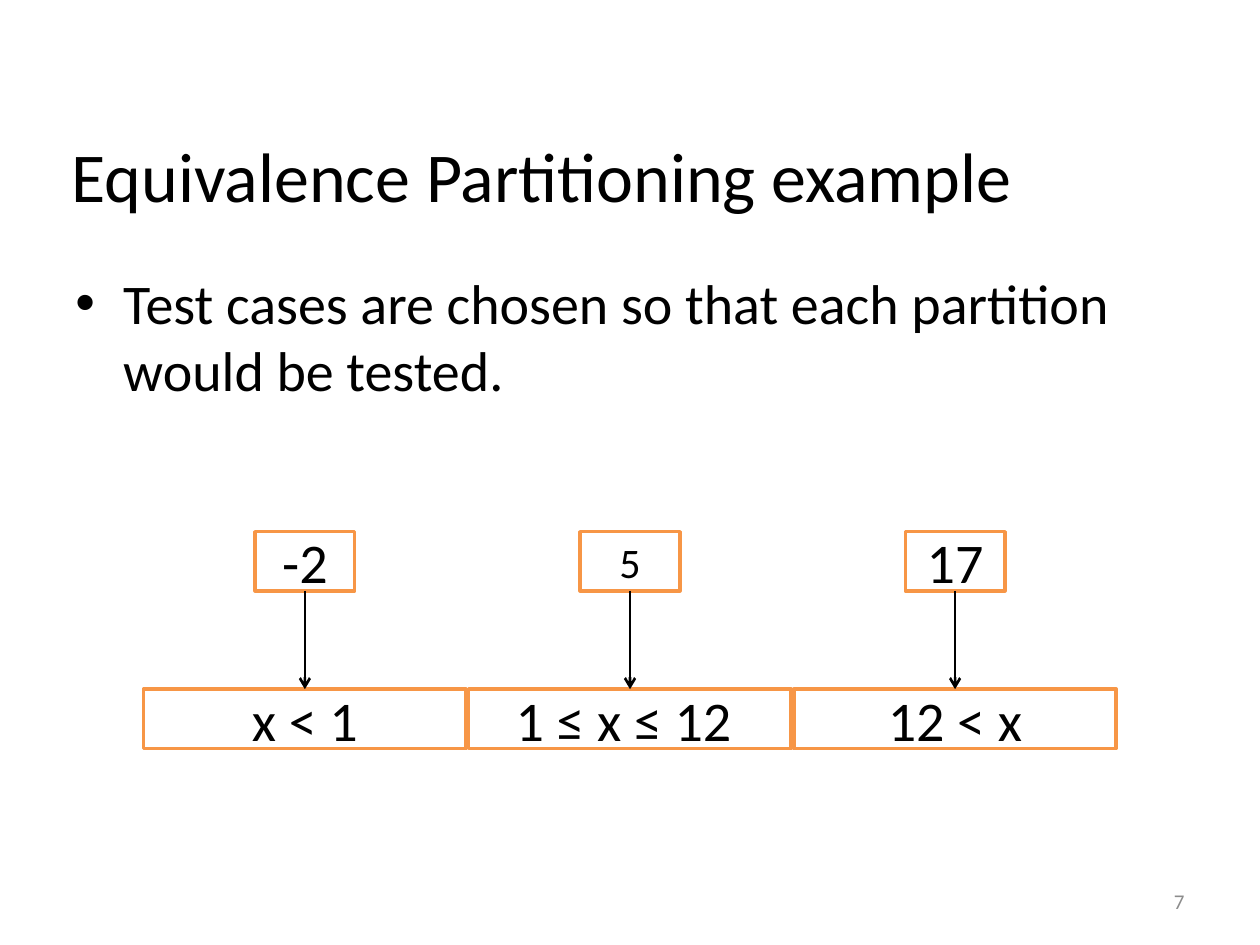
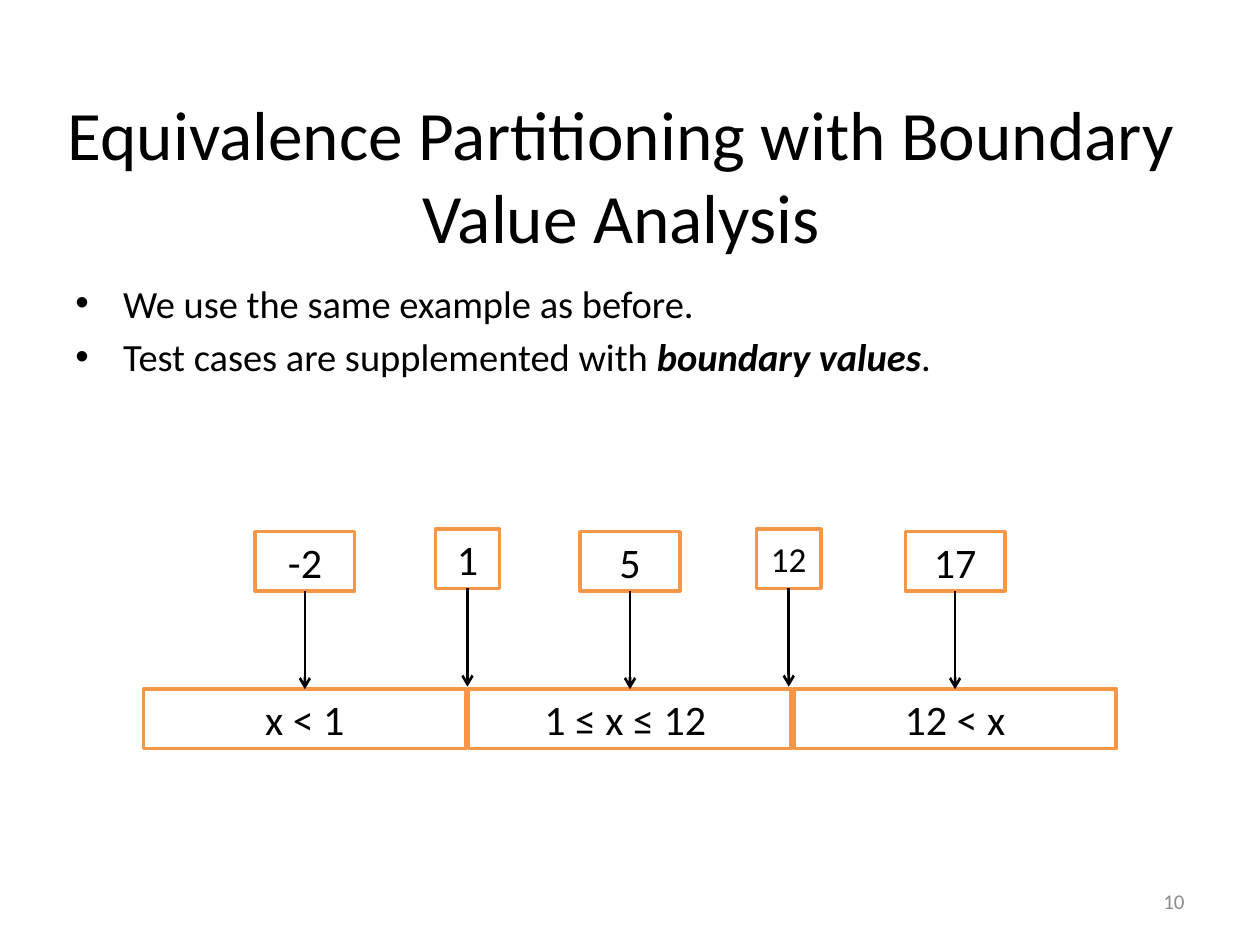
from dataclasses import dataclass

import lxml.etree
import pptx
import pptx.dml.color
import pptx.enum.shapes
import pptx.enum.text
import pptx.oxml.ns
import pptx.presentation
import pptx.shapes.autoshape
import pptx.slide
import pptx.text.text
import pptx.util

Inches = pptx.util.Inches
Pt = pptx.util.Pt
Align = pptx.enum.text.PP_ALIGN
Anchor = pptx.enum.text.MSO_ANCHOR
qn = pptx.oxml.ns.qn

BLACK = pptx.dml.color.RGBColor(0x00, 0x00, 0x00)
WHITE = pptx.dml.color.RGBColor(0xFF, 0xFF, 0xFF)
ORANGE = pptx.dml.color.RGBColor(0xF7, 0x96, 0x46)
GREY = pptx.dml.color.RGBColor(0x8C, 0x8C, 0x8C)
FONT = "Calibri"

BOX_HEIGHT = 0.47
PARTITION_LEFT, PARTITION_TOP = 1.14, 5.47
PARTITION_WIDTH, PARTITION_PITCH = 2.56, 2.58
PARTITION_LABELS = ("x < 1", "1 ≤ x ≤ 12 ", "12 < x")
VALUE_TOP, VALUE_WIDTH = 4.22, 0.79
BOUNDARY_TOP, BOUNDARY_WIDTH = 4.20, 0.51
BOUNDARY_ARROW_END = 5.45


@dataclass(frozen=True)
class Run:
    text: str
    emphasis: bool = False


@dataclass(frozen=True)
class TestValue:
    label: str
    size: float


@dataclass(frozen=True)
class BoundaryValue:
    label: str
    size: float
    center: float


@dataclass(frozen=True)
class ExampleSlide:
    title: str
    title_left: float
    title_size: float
    title_align: Align
    bullets: tuple[tuple[Run, ...], ...]
    bullets_top: float
    bullets_size: float
    partition_size: float
    values: tuple[TestValue, ...]
    boundaries: tuple[BoundaryValue, ...]
    number: str


EXAMPLES = (
    ExampleSlide(
        title="Equivalence Partitioning example",
        title_left=0.47,
        title_size=40,
        title_align=Align.LEFT,
        bullets=((Run("Test cases are chosen so that each partition would be tested."),),),
        bullets_top=2.08,
        bullets_size=32,
        partition_size=32,
        values=(TestValue("-2", 32), TestValue("5", 24), TestValue("17", 32)),
        boundaries=(),
        number="7",
    ),
    ExampleSlide(
        title="Equivalence Partitioning with Boundary Value Analysis",
        title_left=0.43,
        title_size=39.6,
        title_align=Align.CENTER,
        bullets=(
            (Run("We use the same example as before."),),
            (
                Run("Test cases are supplemented with "),
                Run("boundary values", emphasis=True),
                Run("."),
            ),
        ),
        bullets_top=2.17,
        bullets_size=22,
        partition_size=24,
        values=(TestValue("-2", 24), TestValue("5", 24), TestValue("17", 24)),
        boundaries=(BoundaryValue("1", 24, 3.71), BoundaryValue("12", 20, 6.26)),
        number="10",
    ),
)


def write(
    frame: pptx.text.text.TextFrame,
    paragraphs: tuple[tuple[Run, ...], ...],
    *,
    size: float,
    color: pptx.dml.color.RGBColor = BLACK,
    align: Align = Align.LEFT,
    anchor: Anchor = Anchor.MIDDLE,
    bulleted: bool = False,
) -> None:
    frame.word_wrap = True
    frame.auto_size = pptx.enum.text.MSO_AUTO_SIZE.NONE
    frame.vertical_anchor = anchor
    for index, runs in enumerate(paragraphs):
        paragraph = frame.add_paragraph() if index else frame.paragraphs[0]
        paragraph.alignment = align
        if index:
            paragraph.space_before = Pt(size * 0.2)
        if bulleted:
            add_bullet(paragraph)
        for part in runs:
            run = paragraph.add_run()
            run.text = part.text
            run.font.name = FONT
            run.font.size = Pt(size)
            run.font.color.rgb = color
            run.font.bold = part.emphasis
            run.font.italic = part.emphasis


def add_bullet(paragraph: pptx.text.text._Paragraph) -> None:
    properties = paragraph._p.get_or_add_pPr()
    properties.set("marL", str(Inches(0.38)))
    properties.set("indent", str(-Inches(0.38)))
    lxml.etree.SubElement(properties, qn("a:buFont")).set("typeface", "Arial")
    lxml.etree.SubElement(properties, qn("a:buChar")).set("char", "•")


def add_box(
    slide: pptx.slide.Slide, label: str, center: float, top: float, width: float, size: float
) -> pptx.shapes.autoshape.Shape:
    box = slide.shapes.add_shape(
        pptx.enum.shapes.MSO_SHAPE.RECTANGLE,
        Inches(center - width / 2), Inches(top), Inches(width), Inches(BOX_HEIGHT),
    )
    box.shadow.inherit = False
    box.fill.solid()
    box.fill.fore_color.rgb = WHITE
    box.line.color.rgb = ORANGE
    box.line.width = Pt(2)
    write(box.text_frame, ((Run(label),),), size=size, align=Align.CENTER)
    return box


def add_arrow(
    slide: pptx.slide.Slide,
    source: pptx.shapes.autoshape.Shape,
    center: float,
    end: float,
    target: pptx.shapes.autoshape.Shape | None = None,
) -> None:
    arrow = slide.shapes.add_connector(
        pptx.enum.shapes.MSO_CONNECTOR.STRAIGHT,
        Inches(center), source.top + source.height, Inches(center), Inches(end),
    )
    arrow.begin_connect(source, 2)
    if target is not None:
        arrow.end_connect(target, 0)
    arrow.line.color.rgb = BLACK
    arrow.line.width = Pt(1.5)
    lxml.etree.SubElement(arrow.line._get_or_add_ln(), qn("a:tailEnd")).set("type", "arrow")
    lxml.etree.SubElement(arrow._element.spPr, qn("a:effectLst"))


def add_diagram(slide: pptx.slide.Slide, example: ExampleSlide) -> None:
    for index, (label, value) in enumerate(zip(PARTITION_LABELS, example.values)):
        center = PARTITION_LEFT + PARTITION_WIDTH / 2 + index * PARTITION_PITCH
        partition = add_box(
            slide, label, center, PARTITION_TOP, PARTITION_WIDTH, example.partition_size
        )
        value_box = add_box(slide, value.label, center, VALUE_TOP, VALUE_WIDTH, value.size)
        add_arrow(slide, value_box, center, PARTITION_TOP, partition)
    for boundary in example.boundaries:
        boundary_box = add_box(
            slide, boundary.label, boundary.center, BOUNDARY_TOP, BOUNDARY_WIDTH, boundary.size
        )
        add_arrow(slide, boundary_box, boundary.center, BOUNDARY_ARROW_END)


def add_example(deck: pptx.presentation.Presentation, example: ExampleSlide) -> None:
    slide = deck.slides.add_slide(deck.slide_layouts.get_by_name("Title Only"))
    title = slide.shapes.title
    title.left, title.top = Inches(example.title_left), Inches(0.8)
    title.width, title.height = Inches(9), Inches(1.17)
    write(
        title.text_frame, ((Run(example.title),),),
        size=example.title_size, align=example.title_align,
    )
    bullets = slide.shapes.add_textbox(
        Inches(0.5), Inches(example.bullets_top), Inches(9), Inches(6.7 - example.bullets_top)
    )
    write(
        bullets.text_frame, example.bullets,
        size=example.bullets_size, anchor=Anchor.TOP, bulleted=True,
    )
    add_diagram(slide, example)
    number = slide.shapes.add_textbox(Inches(7.17), Inches(6.95), Inches(2.33), Inches(0.4))
    write(number.text_frame, ((Run(example.number),),), size=12, color=GREY, align=Align.RIGHT)


def main() -> None:
    deck = pptx.Presentation()
    deck.slide_width, deck.slide_height = Inches(10), Inches(7.5)
    for example in EXAMPLES:
        add_example(deck, example)
    deck.save("out.pptx")


if __name__ == "__main__":
    main()
